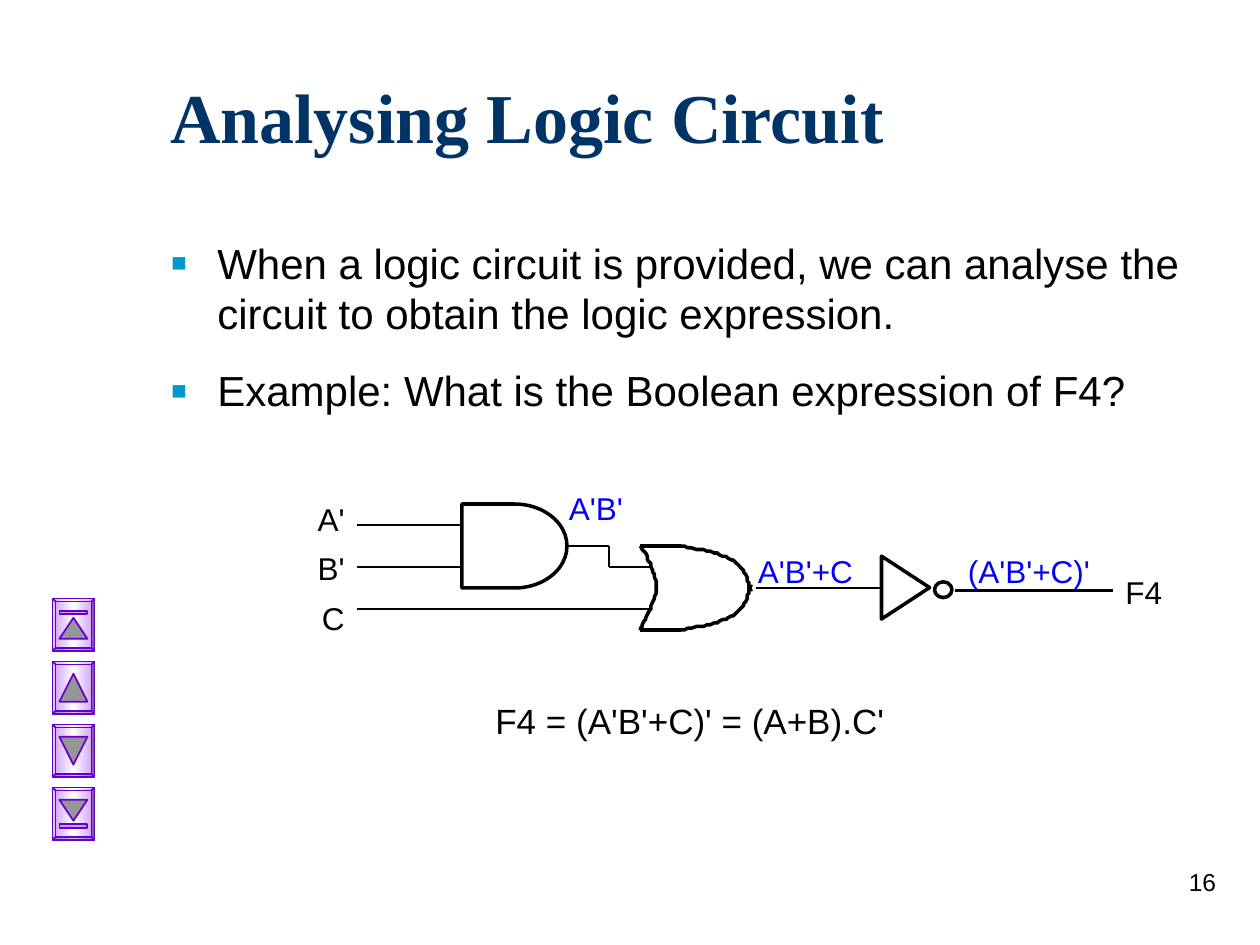
from copy import deepcopy

from lxml import etree
from pptx import Presentation
from pptx.dml.color import RGBColor
from pptx.enum import shapes, text
from pptx.oxml.ns import qn
from pptx.util import Pt

HUES = {
    "title": "003366", "ink": "000000", "note": "0000FF", "bullet": "0099CC",
    "edge": "6600CC", "face": "CC99FF", "shine": "FFFFFF", "icon": "969696",
}
KIND = shapes.MSO_SHAPE
LEFT, RIGHT = text.PP_ALIGN.LEFT, text.PP_ALIGN.RIGHT


def hue(name):
    return RGBColor.from_string(HUES[name])


def curve(a, b, c, d, steps=16):
    """Points along the cubic Bezier curve from a to d."""
    out = []
    for i in range(steps + 1):
        t = i / steps
        s = 1 - t
        out.append(tuple(s**3 * p + 3 * s * s * t * q + 3 * s * t * t * r + t**3 * e
                         for p, q, r, e in zip(a, b, c, d)))
    return out


class Deck:
    def __init__(self):
        self.prs = Presentation()
        self.prs.slide_width, self.prs.slide_height = Pt(720), Pt(540)
        self.slide = self.prs.slides.add_slide(self.prs.slide_layouts[1])
        self.shapes = self.slide.shapes

    def style(self, frame, size, color, font="Arial", bold=False, align=LEFT, gap=0):
        frame.word_wrap = True
        for para in frame.paragraphs:
            para.alignment = align
            para.space_before = Pt(gap)
            for run in para.runs:
                run.font.size, run.font.name, run.font.bold = Pt(size), font, bold
                run.font.color.rgb = hue(color)

    def place(self, shape, x, y, w, h):
        shape.left, shape.top, shape.width, shape.height = map(Pt, (x, y, w, h))

    def title(self, words, *box):
        shape = self.shapes.title
        self.place(shape, *box)
        frame = shape.text_frame
        frame.text = words
        frame.auto_size = text.MSO_AUTO_SIZE.NONE
        frame.vertical_anchor = text.MSO_ANCHOR.MIDDLE
        self.style(frame, 40, "title", "Times New Roman", True)

    def body(self, items, *box):
        shape = self.slide.placeholders[1]
        self.place(shape, *box)
        frame = shape.text_frame
        frame.text = "\n".join(items)
        frame.auto_size = text.MSO_AUTO_SIZE.NONE
        self.style(frame, 24, "ink", gap=15)
        frame.paragraphs[0].space_before = Pt(6)
        for para in frame.paragraphs:
            self.bullet(para)

    def bullet(self, para):
        props = para._p.get_or_add_pPr()
        props.set("marL", str(Pt(27)))
        props.set("indent", str(-Pt(27)))
        color = etree.SubElement(props, qn("a:buClr"))
        etree.SubElement(color, qn("a:srgbClr"), val=HUES["bullet"])
        etree.SubElement(props, qn("a:buSzPct"), val="120000")
        etree.SubElement(props, qn("a:buFont"), typeface="Arial")
        etree.SubElement(props, qn("a:buChar"), char="▪")

    def label(self, words, x, y, w, h=28.8, size=18, color="ink", align=LEFT, gap=6.8):
        frame = self.shapes.add_textbox(*map(Pt, (x, y, w, h))).text_frame
        frame.text = words
        self.style(frame, size, color, align=align, gap=gap)

    def stroke(self, shape, color="ink", width=2):
        shape.line.color.rgb = hue(color)
        shape.line.width = Pt(width)

    def shape(self, kind, x, y, w, h, turn=0, color="ink", width=2, fill=None):
        shape = self.shapes.add_shape(kind, *map(Pt, (x, y, w, h)))
        shape.rotation = turn
        shape.shadow.inherit = False
        if fill:
            shape.fill.solid()
            shape.fill.fore_color.rgb = hue(fill)
        else:
            shape.fill.background()
        self.stroke(shape, color, width)
        return shape

    def wire(self, x1, y1, x2, y2, width=1.5):
        line = self.shapes.add_connector(
            shapes.MSO_CONNECTOR.STRAIGHT, *map(Pt, (x1, y1, x2, y2)))
        self.stroke(line, width=width)
        etree.SubElement(line._element.spPr, qn("a:effectLst"))
        return line

    def arc(self, *knots):
        """Open outline; each group of four knots is one Bezier curve."""
        dots = []
        for i in range(0, len(knots) - 1, 3):
            dots += curve(*knots[i:i + 4])
        pen = self.shapes.build_freeform(*dots[0], scale=Pt(1))
        pen.add_line_segments(dots[1:], close=False)
        shape = pen.convert_to_shape()
        shape.shadow.inherit = False
        shape.fill.background()
        self.stroke(shape)

    def button(self, y, down, bar):
        """Bevelled button with a triangle and, if bar is set, a stop bar."""
        x = 30
        frame = self.shape(KIND.BEVEL, x, y, 24, 30, color="edge", width=1)
        frame.adjustments[0] = 0.07
        frame.fill.gradient()
        frame.fill.gradient_angle = 0
        stops = frame.fill.gradient_stops
        for stop, spot in zip(stops, (0, 1)):
            stop.color.rgb, stop.position = hue("face"), spot
        first = stops[0]._gs
        first.addnext(deepcopy(first))
        shine = frame.fill.gradient_stops[1]
        shine.color.rgb, shine.position = hue("shine"), 0.5
        tall = 12 if bar else 16
        top = y + (11 if bar and not down else 7)
        kind = KIND.FLOWCHART_MERGE if down else KIND.ISOSCELES_TRIANGLE
        self.shape(kind, x + 4, top, 16, tall, color="edge", width=1, fill="icon")
        if bar:
            self.shape(KIND.RECTANGLE, x + 4, y + (21 if down else 7), 16, 2,
                       color="edge", width=1, fill="face")


def circuit(deck):
    gate = deck.shape(KIND.FLOWCHART_DELAY, 264, 288, 60, 48)
    for y, end in ((300, 264), (324, 264), (348, 372)):
        deck.wire(204, y, end, y)
    deck.wire(324, 312, 348, 312).begin_connect(gate, 3)
    deck.wire(348, 312, 348, 324)
    deck.wire(348, 324, 372, 324)

    # OR gate, symmetric about its middle line
    mid = 336
    deck.arc((366, 312), (371, 320), (375, 328), (375, mid),
             (375, 344), (367, 355.5), (366, 360))
    for side in (-1, 1):
        edge = mid + side * 24
        deck.wire(366, edge, 389, edge, 2)
        deck.arc((389, edge), (400.5, mid + side * 22), (412.5, mid + side * 20),
                 (419, mid + side * 15.5), (426, mid + side * 11),
                 (427.5, mid + side * 4.5), (429, mid - side * 2))

    deck.wire(432, mid, 504, mid)
    deck.shape(KIND.FLOWCHART_MERGE, 499.5, 322, 36, 27.5, turn=270)
    deck.shape(KIND.OVAL, 534, 332.5, 10, 9)
    deck.wire(546, 337.5, 636, 337.5)

    deck.label("A'\nB'\nC", 168, 282, 36, 86, align=RIGHT)
    deck.label("F4", 636, 324, 42)
    for words, x, y, w in (("A'B'", 318, 276, 54), ("A'B'+C", 426, 312, 72),
                           ("(A'B'+C)'", 546, 312, 90)):
        deck.label(words, x, y, w, color="note", gap=11.2)


def main():
    deck = Deck()
    deck.title("Analysing Logic Circuit", 90, 36, 612, 60)
    deck.body(["When a logic circuit is provided, we can analyse the circuit "
               "to obtain the logic expression.",
               "Example: What is the Boolean expression of F4?"], 90, 132, 612, 114)
    circuit(deck)
    deck.label("F4 = (A'B'+C)' = (A+B).C'", 276, 396, 252, 31.5, size=20, gap=12.5)
    looks = ((False, True), (False, False), (True, False), (True, True))
    for i, (down, bar) in enumerate(looks):
        deck.button(342 + 36 * i, down, bar)
    deck.label("16", 552, 492, 150, 36, size=14, align=RIGHT, gap=8.8)
    deck.prs.save("out.pptx")


if __name__ == "__main__":
    main()
